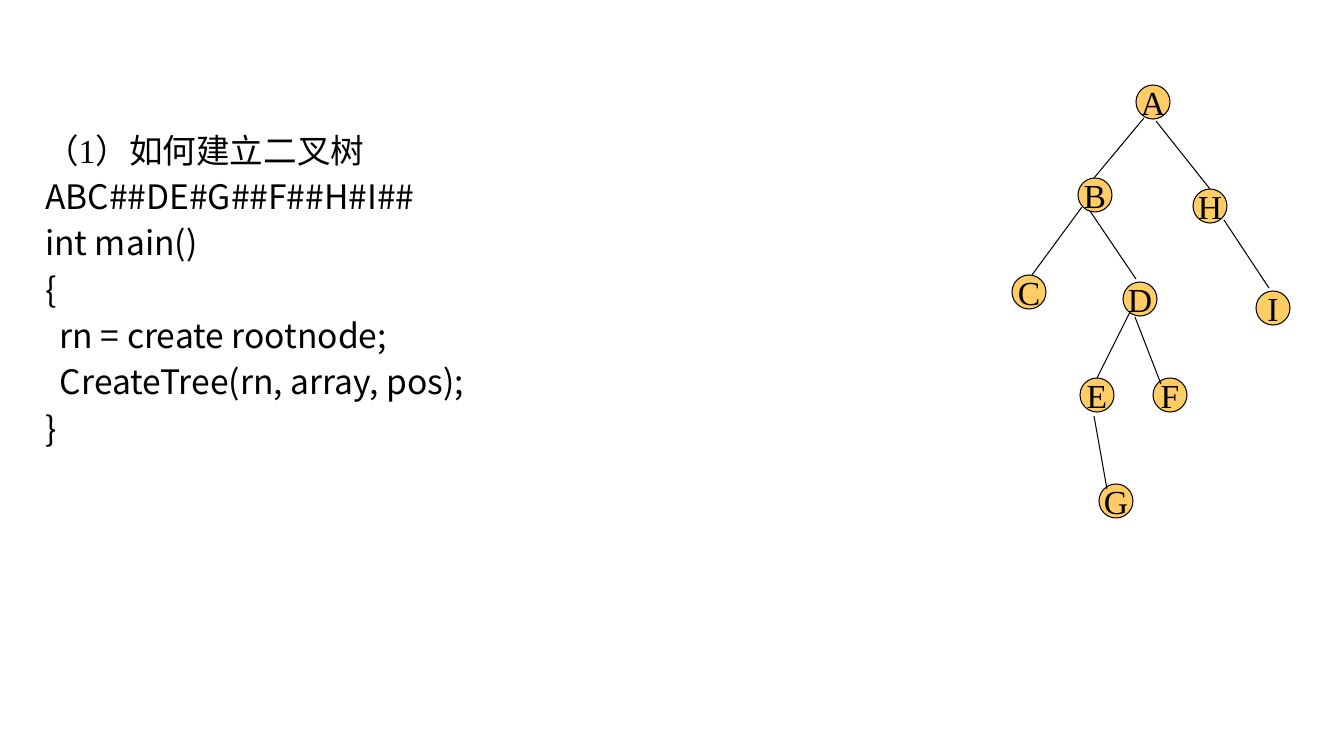
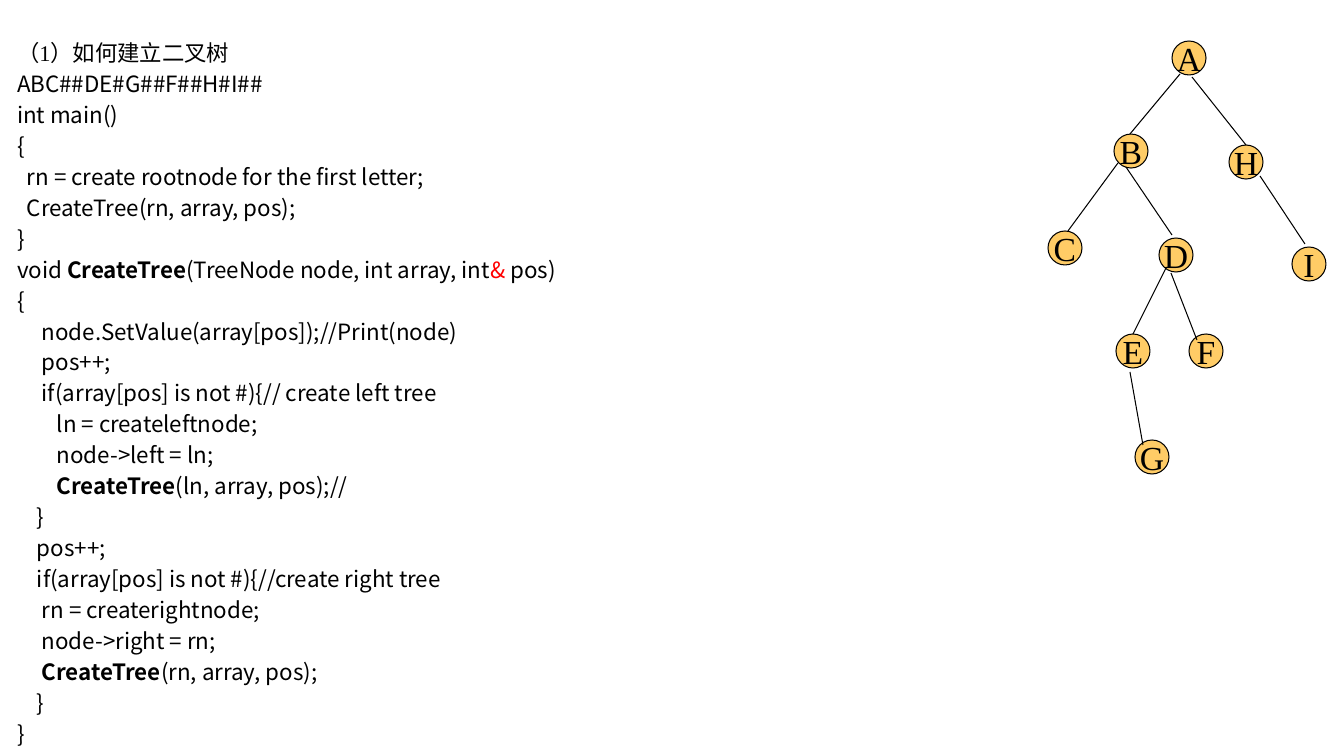
from dataclasses import dataclass

from lxml.etree import SubElement
from pptx import Presentation
from pptx.dml.color import RGBColor
from pptx.enum.shapes import MSO_CONNECTOR, MSO_SHAPE
from pptx.enum.text import MSO_ANCHOR, MSO_AUTO_SIZE, PP_ALIGN
from pptx.oxml.ns import qn
from pptx.util import Emu, Pt


@dataclass(frozen=True)
class Theme:
    """Colours, fonts and sizes of the deck."""
    ink: RGBColor = RGBColor(0, 0, 0)
    red: RGBColor = RGBColor(255, 0, 0)
    gold: RGBColor = RGBColor(0xFF, 0xCC, 0x66)
    serif: str = "Times New Roman"
    sans: str = "Noto Sans CJK SC"
    large: int = 24
    small: int = 16
    pitch: float = 1.38
    line: float = 0.75


THEME = Theme()
SCALE = 914400 / 100.8
NODE = 34
NODES = {
    "A": (124, 0), "B": (66, 93), "C": (0, 190),
    "D": (111, 197), "E": (68, 293), "F": (141, 293),
    "G": (87, 399), "H": (181, 104), "I": (244, 206),
}
EDGES = [
    (132, 33, 82, 93), (70, 122, 20, 190), (78, 126, 124, 194),
    (118, 227, 85, 293), (82, 331, 95, 404), (123, 232, 149, 299),
    (144, 36, 198, 104), (212, 135, 257, 203),
]
HEAD = "（1）如何建立二叉树"
START = [(0, "ABC##DE#G##F##H#I##"), (0, "int main()"), (0, "{")]
CALL = [(2, "CreateTree(rn, array, pos);"), (0, "}")]
BOLD = ("CreateTree", True, THEME.ink)
BRIEF = [*START, (2, "rn = create rootnode;"), *CALL]
FULL = [
    *START,
    (2, "rn = create rootnode for the first letter;"),
    *CALL,
    (0, "void ", BOLD, "(TreeNode node, int array, int",
     ("&", False, THEME.red), " pos)"),
    (0, "{"),
    (5, "node.SetValue(array[pos]);//Print(node)"),
    (5, "pos++;"),
    (5, "if(array[pos] is not #){// create left tree"),
    (8, "ln = createleftnode;"),
    (8, "node->left = ln;"),
    (8, BOLD, "(ln, array, pos);//"),
    (4, "}"),
    (4, "pos++;"),
    (4, "if(array[pos] is not #){//create right tree"),
    (5, "rn = createrightnode;"),
    (5, "node->right = rn;"),
    (5, BOLD, "(rn, array, pos);"),
    (4, "}"),
    (0, "}"),
]


def px(n):
    """Turn px into EMU."""
    return Emu(round(n * SCALE))


def add_run(para, text, size, font, bold=False, tint=THEME.ink):
    """Add one styled run to a paragraph."""
    run = para.add_run()
    run.text = text
    run.font.size = Pt(size)
    run.font.name = font
    run.font.bold = bold
    run.font.color.rgb = tint
    SubElement(run.font._element, qn("a:ea"), typeface=THEME.sans)


def add_line(para, size, step, runs):
    """Set the indent and pitch of a line and add its runs."""
    para.alignment = PP_ALIGN.LEFT
    para.line_spacing = Pt(round(size * THEME.pitch, 1))
    para.space_before = para.space_after = Pt(0)
    props = para._p.get_or_add_pPr()
    props.set("marL", str(px(step * size * 0.31)))
    props.set("indent", "0")
    for run in runs:
        text, bold, tint = (run, False, THEME.ink) if isinstance(run, str) else run
        add_run(para, text, size, THEME.sans, bold, tint)


def add_code(slide, box, size, lines):
    """Fill the title placeholder with the heading and the code."""
    title = slide.shapes.title
    title.left, title.top, title.width, title.height = map(px, box)
    frame = title.text_frame
    frame.word_wrap = True
    frame.auto_size = MSO_AUTO_SIZE.NONE
    frame.vertical_anchor = MSO_ANCHOR.BOTTOM
    head = frame.paragraphs[0]
    add_line(head, size, 0, [])
    add_run(head, HEAD, size, THEME.serif)
    for step, *runs in lines:
        add_line(frame.add_paragraph(), size, step, runs)


def ink_line(line):
    """Give an outline its colour and width."""
    line.color.rgb = THEME.ink
    line.width = Pt(THEME.line)


def add_node(slide, x, y, name):
    """Draw one lettered tree node."""
    node = slide.shapes.add_shape(MSO_SHAPE.OVAL, px(x), px(y), px(NODE), px(NODE))
    node.shadow.inherit = False
    node.fill.solid()
    node.fill.fore_color.rgb = THEME.gold
    ink_line(node.line)
    frame = node.text_frame
    frame.word_wrap = False
    frame.vertical_anchor = MSO_ANCHOR.MIDDLE
    para = frame.paragraphs[0]
    para.alignment = PP_ALIGN.CENTER
    add_run(para, name, THEME.large, THEME.serif)


def add_tree(slide, left, top):
    """Draw the binary tree from its top left corner."""
    for name, (x, y) in NODES.items():
        add_node(slide, left + x, top + y, name)
    for x, y, to_x, to_y in EDGES:
        edge = slide.shapes.add_connector(
            MSO_CONNECTOR.STRAIGHT, px(left + x), px(top + y),
            px(left + to_x), px(top + to_y))
        ink_line(edge.line)
        SubElement(edge._element.spPr, qn("a:effectLst"))


def add_slide(deck, box, size, lines, tree):
    """Add a slide with code on the left and the tree on the right."""
    slide = deck.slides.add_slide(deck.slide_layouts[5])
    add_code(slide, box, size, lines)
    add_tree(slide, *tree)


def main():
    """Build and save the deck."""
    deck = Presentation()
    deck.slide_width, deck.slide_height = px(1344), px(756)
    add_slide(deck, (35, 119, 812, 334), THEME.large, BRIEF, (1012, 85))
    add_slide(deck, (7, 30, 1000, 722), THEME.small, FULL, (1048, 41))
    deck.save("out.pptx")


if __name__ == "__main__":
    main()
